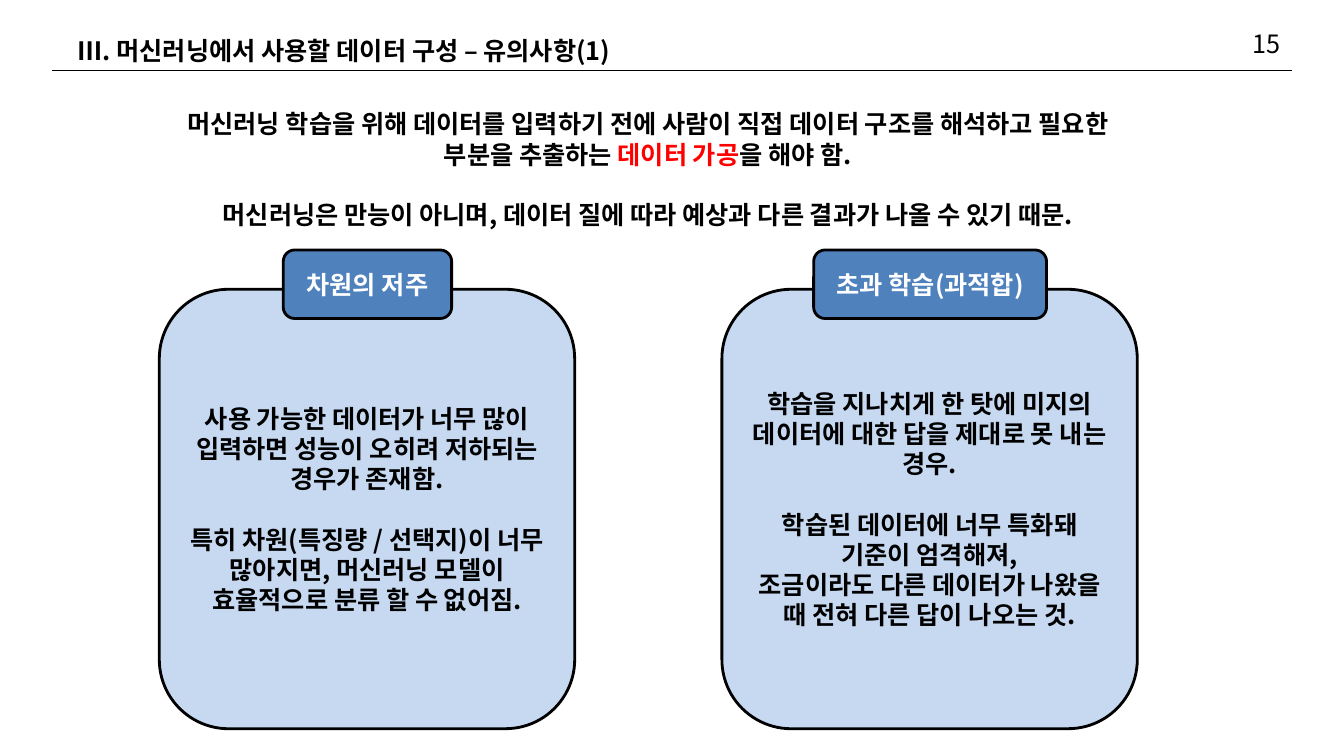
"""Builds a slide on two pitfalls of preparing machine learning data."""
from lxml.etree import SubElement
from pptx import Presentation
from pptx.dml.color import RGBColor
from pptx.enum.shapes import MSO_CONNECTOR, MSO_SHAPE
from pptx.enum.text import MSO_ANCHOR, PP_ALIGN
from pptx.oxml.ns import qn
from pptx.util import Pt

PX = 9144
FONT = "Noto Sans CJK KR"
COLORS = {
    "black": "000000",
    "white": "FFFFFF",
    "red": "FF0000",
    "panel": "C6D9F1",
    "label": "4F81BD",
}


def write(shape, paragraphs, align=PP_ALIGN.CENTER, anchor=MSO_ANCHOR.MIDDLE, bold=True):
    """Fill a shape with paragraphs of (gap, [(text, color, font), ...])."""
    frame = shape.text_frame
    frame.word_wrap = True
    frame.vertical_anchor = anchor
    for index, (gap, pieces) in enumerate(paragraphs):
        paragraph = frame.add_paragraph() if index else frame.paragraphs[0]
        paragraph.alignment = align
        paragraph.space_before = Pt(gap)
        for text, color, font in pieces:
            run = paragraph.add_run()
            run.text = text
            run.font.size = Pt(18)
            run.font.bold = bold
            run.font.name = font
            run.font.color.rgb = RGBColor.from_string(COLORS[color])
            SubElement(run.font._element, qn("a:ea"), typeface=FONT)


def rounded_box(left, top, width, height, color):
    """Add an outlined rounded rectangle."""
    box = slide.shapes.add_shape(
        MSO_SHAPE.ROUNDED_RECTANGLE, left * PX, top * PX, width * PX, height * PX
    )
    box.shadow.inherit = False
    box.fill.solid()
    box.fill.fore_color.rgb = RGBColor.from_string(COLORS[color])
    box.line.color.rgb = RGBColor.from_string(COLORS["black"])
    box.line.width = Pt(2)
    return box


prs = Presentation()
prs.slide_width = 1333 * PX
prs.slide_height = 750 * PX
slide = prs.slides.add_slide(prs.slide_layouts[6])

header_rule = slide.shapes.add_connector(
    MSO_CONNECTOR.STRAIGHT, 52 * PX, 70 * PX, 1281 * PX, 70 * PX
)
header_rule.line.color.rgb = RGBColor.from_string(COLORS["black"])
header_rule.line.width = Pt(0.75)
SubElement(header_rule._element.spPr, qn("a:effectLst"))

title = slide.shapes.add_textbox(67 * PX, 30 * PX, 1200 * PX, 40 * PX)
title_pieces = [
    ("Ⅲ. ", "black", FONT),
    ("머신러닝에서 사용할 ", "black", "Cabin"),
    ("데이터 구성 ", "black", "Arial"),
    ("– 유의사항(1)", "black", FONT),
]
write(title, [(0, title_pieces)], align=PP_ALIGN.LEFT)

page_number = slide.shapes.add_textbox(1232 * PX, 23 * PX, 49 * PX, 40 * PX)
write(page_number, [(0, [("15", "black", FONT)])], anchor=MSO_ANCHOR.TOP, bold=False)

intro = slide.shapes.add_textbox(142 * PX, 103 * PX, 1001 * PX, 192 * PX)
intro_paragraphs = [
    (0, [
        ("머신러닝 학습을 위해 데이터를 입력하기 전에 사람이 직접 데이터 구조를 "
         "해석하고 필요한 부분을 추출하는 ", "black", FONT),
        ("데이터 가공", "red", FONT),
        ("을 해야 함.", "black", FONT),
    ]),
    (21.5, [
        ("머신러닝은 만능이 아니며, 데이터 질에 따라 예상과 다른 결과가 나올 수 "
         "있기 때문.", "black", FONT),
    ]),
]
write(intro, intro_paragraphs, anchor=MSO_ANCHOR.TOP)

pitfalls = [
    (158, "차원의 저주", 281, 167, [
        (0, "사용 가능한 데이터가 너무 많이 입력하면 성능이 오히려 저하되는 경우가 존재함."),
        (21.5, "특히 차원(특징량 / 선택지)이 너무 많아지면, 머신러닝 모델이 "
               "효율적으로 분류 할 수 없어짐."),
    ]),
    (716, "초과 학습(과적합)", 807, 231, [
        (0, "학습을 지나치게 한 탓에 미지의 데이터에 대한 답을 제대로 못 내는 경우."),
        (21.5, "학습된 데이터에 너무 특화돼 기준이 엄격해져,"),
        (0, "조금이라도 다른 데이터가 나왔을 때 전혀 다른 답이 나오는 것."),
    ]),
]
for panel_left, heading, label_left, label_width, sentences in pitfalls:
    panel = rounded_box(panel_left, 287, 412, 436, "panel")
    write(panel, [(gap, [(text, "black", FONT)]) for gap, text in sentences])
    label = rounded_box(label_left, 248, label_width, 68, "label")
    write(label, [(0, [(heading, "white", FONT)])])

prs.save("out.pptx")
